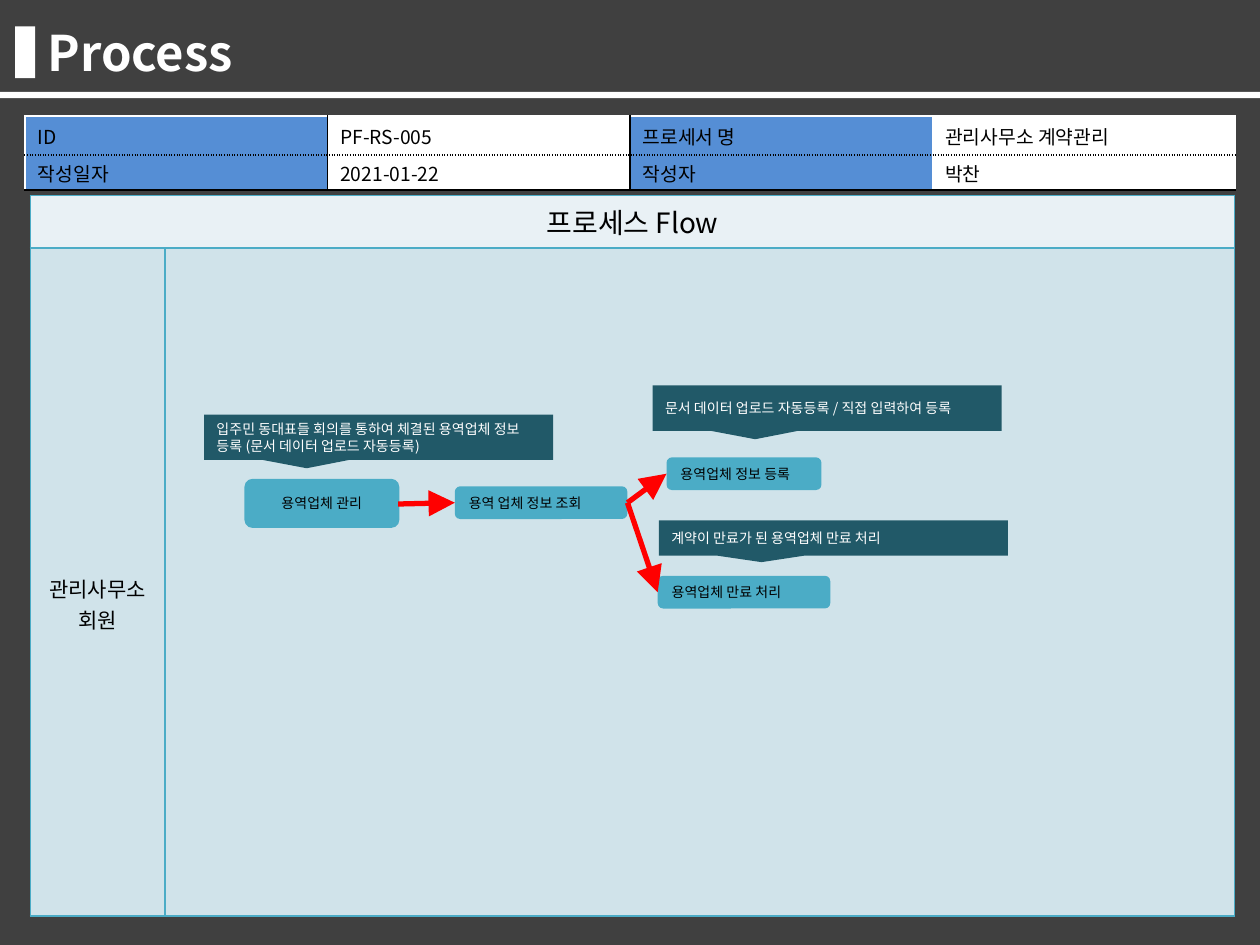
from lxml import etree
from pptx import Presentation
from pptx.dml.color import RGBColor
from pptx.enum.shapes import MSO_CONNECTOR, MSO_SHAPE as SHAPE
from pptx.enum.text import MSO_ANCHOR as ANCHOR, PP_ALIGN as ALIGN
from pptx.oxml import parse_xml
from pptx.oxml.ns import nsdecls, qn
from pptx.util import Inches, Pt

FONT = "Noto Sans CJK KR"
TEAL, DARK_TEAL, BLUE, RED = "4BACC6", "215968", "558ED5", "FF0000"
BLACK, WHITE, GREY = "000000", "FFFFFF", "404040"


def write(frame, text, size, color=BLACK, align=ALIGN.LEFT, bold=False):
    """Put one styled run into a text frame."""
    frame.word_wrap = True
    para = frame.paragraphs[0]
    para.alignment = align
    span = para.add_run()
    span.text = text
    font = span.font
    font.name, font.size, font.bold = FONT, Pt(size), bold
    font.color.rgb = RGBColor.from_string(color)
    props = span._r.get_or_add_rPr()
    etree.SubElement(props, qn("a:ea")).set("typeface", FONT)


def style_cell(cell, fill, borders):
    """Fill a cell and draw its borders, given as side: (colour, dash)."""
    props = cell._tc.get_or_add_tcPr()
    for side in ("L", "R", "T", "B"):
        color, dash = borders[side]
        props.append(parse_xml(
            f'<a:ln{side} {nsdecls("a")} w="12700"><a:solidFill><a:srgbClr val="{color}"/>'
            f'</a:solidFill><a:prstDash val="{dash}"/></a:ln{side}>'))
    cell.fill.solid()
    cell.fill.fore_color.rgb = RGBColor.from_string(fill)


deck = Presentation()
deck.slide_width, deck.slide_height = Inches(10), Inches(7.5)
page = deck.slides.add_slide(deck.slide_layouts[6])
shapes = page.shapes

# Backdrop and title
for left, top, width, height, color in [
    (0, 0, 10, 7.5, GREY),
    (0.12, 0.21, 0.16, 0.41, WHITE),
    (0, 0.73, 10, 0.05, WHITE),
]:
    bar = shapes.add_shape(SHAPE.RECTANGLE, Inches(left), Inches(top), Inches(width), Inches(height))
    bar.shadow.inherit = False
    bar.fill.solid()
    bar.fill.fore_color.rgb = RGBColor.from_string(color)
    bar.line.fill.background()

title = shapes.add_textbox(Inches(0.28), Inches(0.13), Inches(8.98), Inches(0.57))
write(title.text_frame, "Process", 28, WHITE, bold=True)

# Flow table
flow = shapes.add_table(2, 2, Inches(0.24), Inches(1.55), Inches(9.57), Inches(5.73)).table
flow.columns[0].width, flow.columns[1].width = Inches(1.07), Inches(8.49)
flow.rows[0].height, flow.rows[1].height = Inches(0.42), Inches(5.3)
for row, fill in enumerate(["E9F1F5", "D0E3EA"]):
    for column in range(2):
        style_cell(flow.cell(row, column), fill, dict.fromkeys("LRTB", (TEAL, "solid")))
heading, actor = flow.cell(0, 0), flow.cell(1, 0)
heading.merge(flow.cell(0, 1))
write(heading.text_frame, "프로세스 Flow", 16, align=ALIGN.CENTER)
write(actor.text_frame, "관리사무소 회원", 12, align=ALIGN.CENTER)
actor.margin_top = Inches(2.58)

# Document details table
details = [
    ["ID", "PF-RS-005", "프로세서 명", "관리사무소 계약관리"],
    ["작성일자", "2021-01-22", "작성자", "박찬"],
]
info = shapes.add_table(2, 4, Inches(0.2), Inches(0.92), Inches(9.6), Inches(0.59)).table
upright = [WHITE, BLACK, BLACK, WHITE, WHITE]
level = [(WHITE, "solid"), (BLACK, "sysDot"), (BLACK, "solid")]
for row, height in enumerate([0.31, 0.28]):
    info.rows[row].height = Inches(height)
    for column, text in enumerate(details[row]):
        cell = info.cell(row, column)
        style_cell(cell, WHITE if column % 2 else BLUE, {
            "L": (upright[column], "solid"), "R": (upright[column + 1], "solid"),
            "T": level[row], "B": level[row + 1]})
        cell.margin_top, cell.margin_bottom = Inches(0.03), Inches(0.02)
        cell.vertical_anchor = ANCHOR.MIDDLE
        write(cell.text_frame, text, 11)

# Process steps and their notes
STEP, NOTE = SHAPE.ROUNDED_RECTANGLE, SHAPE.RECTANGULAR_CALLOUT
looks = {STEP: (TEAL, BLACK, [0.167]), NOTE: (DARK_TEAL, WHITE, [-0.206, 0.685])}
for kind, left, top, width, height, align, text in [
    (STEP, 1.94, 3.8, 1.23, 0.39, ALIGN.CENTER, "용역업체 관리"),
    (STEP, 3.61, 3.86, 1.37, 0.26, ALIGN.LEFT, "용역 업체 정보 조회"),
    (STEP, 5.29, 3.63, 1.23, 0.26, ALIGN.LEFT, "용역업체 정보 등록"),
    (STEP, 5.22, 4.57, 1.37, 0.26, ALIGN.LEFT, "용역업체 만료 처리"),
    (NOTE, 1.62, 3.29, 2.77, 0.36, ALIGN.LEFT,
     "입주민 동대표들 회의를 통하여 체결된 용역업체 정보 등록 (문서 데이터 업로드 자동등록)"),
    (NOTE, 5.18, 3.06, 2.77, 0.36, ALIGN.LEFT, "문서 데이터 업로드 자동등록 / 직접 입력하여 등록"),
    (NOTE, 5.23, 4.13, 2.77, 0.28, ALIGN.LEFT, "계약이 만료가 된 용역업체 만료 처리"),
]:
    fill, color, adjustments = looks[kind]
    box = shapes.add_shape(kind, Inches(left), Inches(top), Inches(width), Inches(height))
    box.shadow.inherit = False
    box.fill.solid()
    box.fill.fore_color.rgb = RGBColor.from_string(fill)
    box.line.fill.background()
    for index, value in enumerate(adjustments):
        box.adjustments[index] = value
    box.text_frame.vertical_anchor = ANCHOR.MIDDLE
    write(box.text_frame, text, 8, color, align)

# Arrows between the steps
for start_x, start_y, end_x, end_y in [
    (3.16, 4, 3.61, 3.99),
    (4.98, 3.99, 5.29, 3.76),
    (4.98, 3.99, 5.22, 4.7),
]:
    arrow = shapes.add_connector(MSO_CONNECTOR.STRAIGHT, Inches(start_x), Inches(start_y),
                                 Inches(end_x), Inches(end_y))
    arrow.line.color.rgb = RGBColor.from_string(RED)
    arrow.line.width = Pt(3)
    head = etree.SubElement(arrow.line._get_or_add_ln(), qn("a:tailEnd"))
    for name, value in [("type", "triangle"), ("w", "lg"), ("len", "lg")]:
        head.set(name, value)
    etree.SubElement(arrow._element.spPr, qn("a:effectLst"))

deck.save("out.pptx")
